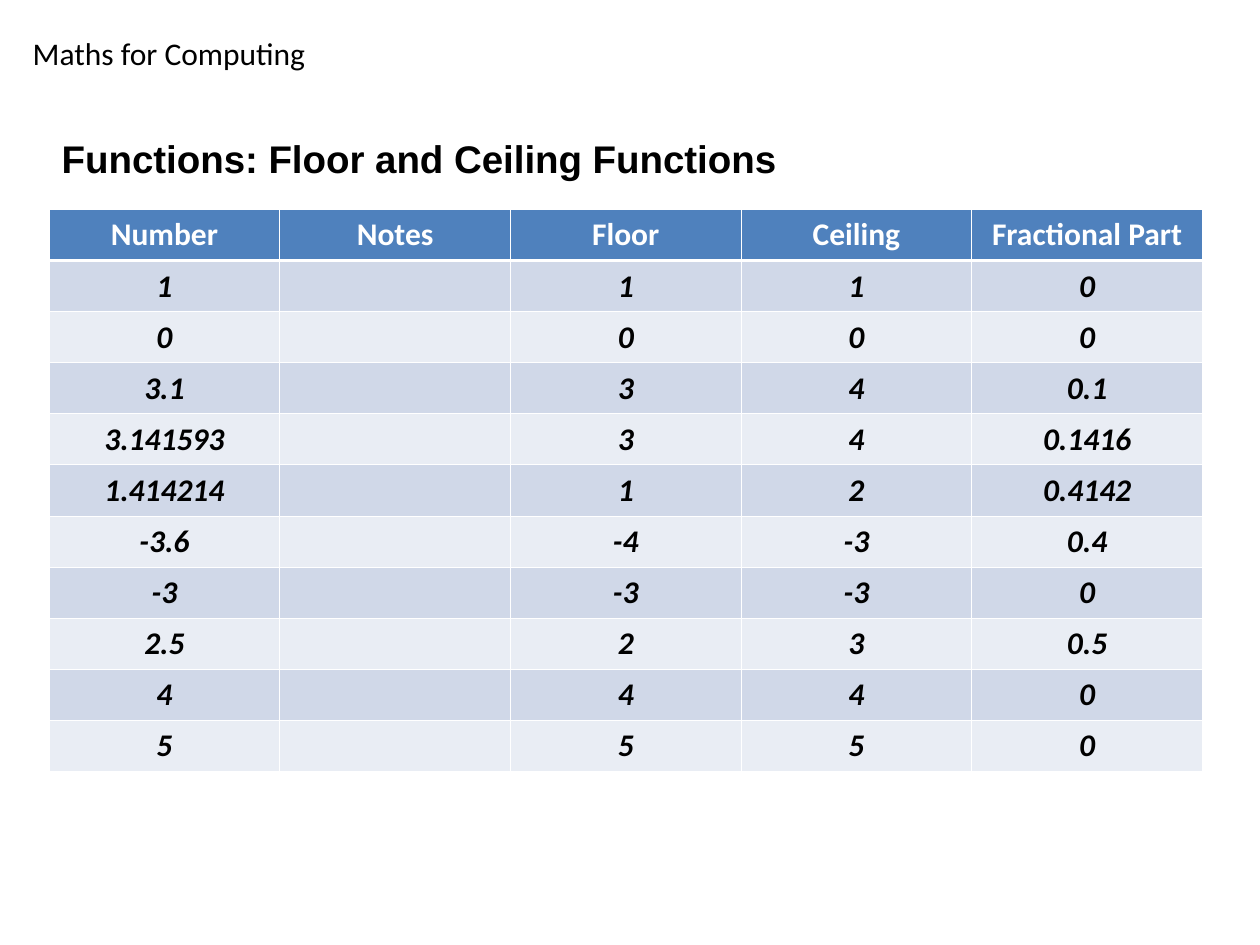
"""Build a slide with a table of floor, ceiling and fractional part values."""
from dataclasses import dataclass

import lxml.etree
import pptx
import pptx.dml.color
import pptx.enum.text
import pptx.oxml.ns
import pptx.util
from pptx.util import Cm, Pt

COLOURS = {
    "text": "000000",
    "header_text": "FFFFFF",
    "border": "FFFFFF",
    "header": "4F81BD",
    "odd_row": "D0D8E8",
    "even_row": "E9EDF4",
}
THIN, THICK = 0.45, 1.47
COLUMN_WIDTH, ROW_HEIGHT = 4.65, 1.03

HEADERS = ("Number", "Notes", "Floor", "Ceiling", "Fractional Part")
ROWS = (
    ("1", "", "1", "1", "0"),
    ("0", "", "0", "0", "0"),
    ("3.1", "", "3", "4", "0.1"),
    ("3.141593", "", "3", "4", "0.1416"),
    ("1.414214", "", "1", "2", "0.4142"),
    ("-3.6", "", "-4", "-3", "0.4"),
    ("-3", "", "-3", "-3", "0"),
    ("2.5", "", "2", "3", "0.5"),
    ("4", "", "4", "4", "0"),
    ("5", "", "5", "5", "0"),
)


@dataclass(frozen=True)
class TextStyle:
    font: str
    size: float
    colour: str = "text"
    bold: bool = False
    italic: bool = False


@dataclass(frozen=True)
class RowStyle:
    fill: str
    text: TextStyle
    anchor: pptx.enum.text.MSO_ANCHOR
    side_margin: float
    top_border: float = THIN
    bottom_border: float = THIN


HEADING = TextStyle("Calibri", 18)
TITLE = TextStyle("Arial", 22, bold=True)
HEADER_TEXT = TextStyle("Calibri", 18, "header_text", bold=True)
VALUE_TEXT = TextStyle("Calibri", 18, bold=True, italic=True)


def rgb(colour: str) -> pptx.dml.color.RGBColor:
    return pptx.dml.color.RGBColor.from_string(COLOURS[colour])


def format_font(font, style: TextStyle) -> None:
    font.name = style.font
    font.size = Pt(style.size)
    font.bold = style.bold
    font.italic = style.italic
    font.color.rgb = rgb(style.colour)


def write(paragraph, text: str, style: TextStyle) -> None:
    run = paragraph.add_run()
    run.text = text
    format_font(run.font, style)


def fill_text_box(shape, text: str, style: TextStyle) -> None:
    frame = shape.text_frame
    frame.word_wrap = True
    frame.auto_size = pptx.enum.text.MSO_AUTO_SIZE.NONE
    frame.vertical_anchor = pptx.enum.text.MSO_ANCHOR.TOP
    paragraph = frame.paragraphs[0]
    paragraph.alignment = pptx.enum.text.PP_ALIGN.LEFT
    write(paragraph, text, style)


def set_borders(cell, style: RowStyle) -> None:
    properties = cell._tc.get_or_add_tcPr()
    widths = {"lnL": THIN, "lnR": THIN, "lnT": style.top_border, "lnB": style.bottom_border}
    for tag, width in widths.items():
        line = lxml.etree.SubElement(properties, pptx.oxml.ns.qn(f"a:{tag}"), w=str(int(Pt(width))))
        fill = lxml.etree.SubElement(line, pptx.oxml.ns.qn("a:solidFill"))
        lxml.etree.SubElement(fill, pptx.oxml.ns.qn("a:srgbClr"), val=COLOURS["border"])


def draw_cell(cell, text: str, style: RowStyle) -> None:
    set_borders(cell, style)
    cell.fill.solid()
    cell.fill.fore_color.rgb = rgb(style.fill)
    cell.vertical_anchor = style.anchor
    cell.margin_left = cell.margin_right = Cm(style.side_margin)
    cell.margin_top = cell.margin_bottom = Cm(0.12)
    paragraph = cell.text_frame.paragraphs[0]
    paragraph.alignment = pptx.enum.text.PP_ALIGN.CENTER
    if text:
        write(paragraph, text, style.text)
    else:
        format_font(paragraph.font, style.text)


def row_style(index: int) -> RowStyle:
    if index == 0:
        return RowStyle("header", HEADER_TEXT, pptx.enum.text.MSO_ANCHOR.TOP, 0.25, bottom_border=THICK)
    return RowStyle(
        "odd_row" if index % 2 else "even_row",
        VALUE_TEXT,
        pptx.enum.text.MSO_ANCHOR.BOTTOM,
        0.03,
        top_border=THICK if index == 1 else THIN,
    )


def draw_table(slide) -> None:
    rows = (HEADERS, *ROWS)
    table = slide.shapes.add_table(
        len(rows), len(HEADERS), Cm(0.99), Cm(4.22),
        Cm(COLUMN_WIDTH * len(HEADERS)), Cm(ROW_HEIGHT * len(rows)),
    ).table
    for column in table.columns:
        column.width = Cm(COLUMN_WIDTH)
    for row_index, values in enumerate(rows):
        table.rows[row_index].height = Cm(ROW_HEIGHT)
        for column_index, value in enumerate(values):
            draw_cell(table.cell(row_index, column_index), value, row_style(row_index))


def main() -> None:
    presentation = pptx.Presentation()
    presentation.slide_width, presentation.slide_height = Cm(25.4), Cm(19.05)
    slide = presentation.slides.add_slide(presentation.slide_layouts[5])

    heading = slide.shapes.add_textbox(Cm(0.41), Cm(0.56), Cm(17.55), Cm(1.02))
    fill_text_box(heading, "Maths for Computing", HEADING)

    title = slide.shapes.title
    title.left, title.top, title.width, title.height = Cm(0.99), Cm(2.59), Cm(20.62), Cm(1.09)
    fill_text_box(title, "Functions: Floor and Ceiling Functions", TITLE)

    draw_table(slide)
    presentation.save("out.pptx")


if __name__ == "__main__":
    main()
